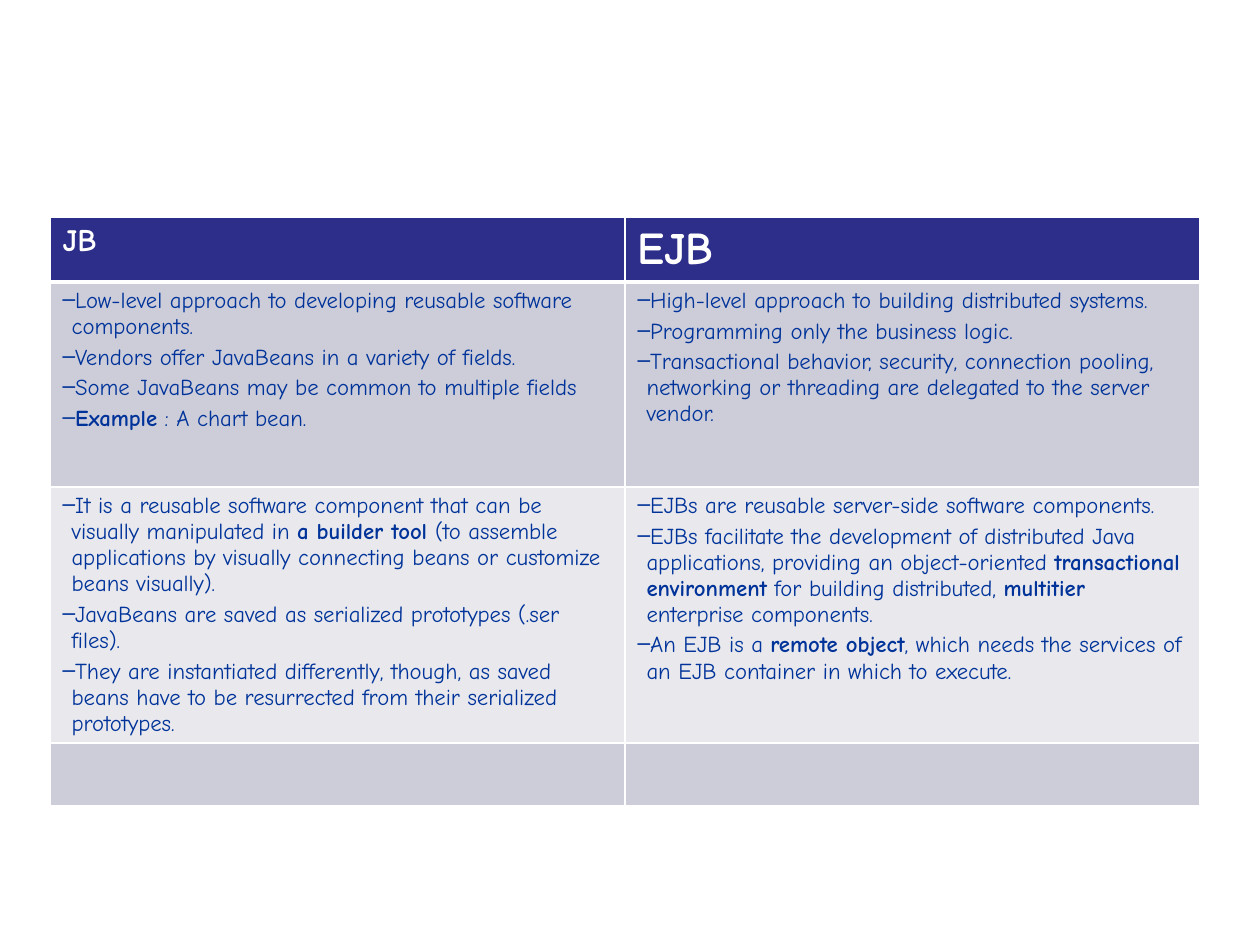
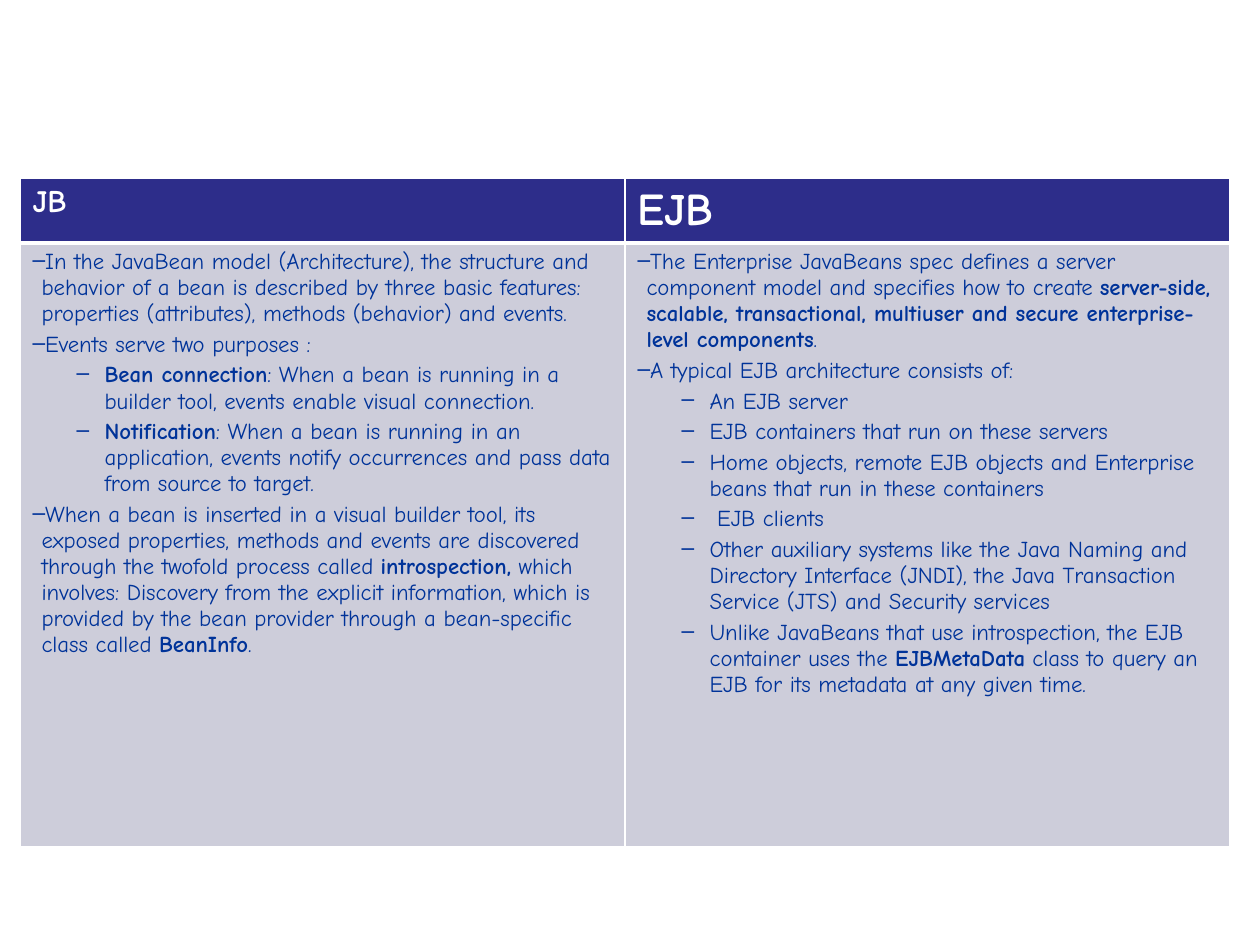
from dataclasses import dataclass

from lxml import etree
from pptx import Presentation
from pptx.dml.color import RGBColor
from pptx.enum.text import MSO_ANCHOR
from pptx.oxml.ns import qn
from pptx.util import Pt

PX = 7258  # EMU per px, at 126 px to the inch
TOP = MSO_ANCHOR.TOP


@dataclass(frozen=True)
class Theme:
    font: str = "Comic Neue"
    header_fill: str = "2D2D8A"
    header_text: str = "FFFFFF"
    body_text: str = "003399"
    bands: tuple = ("CDCDDA", "E8E8ED")
    rule: str = "FFFFFF"
    thin: int = 1
    thick: int = 3
    header_sizes: tuple = (18, 26)
    body_size: int = 13
    gap: float = 2.6


THEME = Theme()
HEADERS = ("JB", "EJB")
BULLET = "–"
HANG, INDENT, SUB_INDENT = 28, 9, 72
HEADER_H = 64

# Text between ** marks is bold; a nested list holds sub-bullets.
OVERVIEW_ROWS = [
    (
        [
            "Low-level approach to developing reusable software components.",
            "Vendors offer JavaBeans in a variety of fields.",
            "Some JavaBeans may be common to multiple fields",
            "**Example** : A chart bean.",
        ],
        [
            "High-level approach to building distributed systems.",
            "Programming only the business logic.",
            "Transactional behavior, security, connection pooling, networking or "
            "threading are delegated to the server vendor.",
        ],
    ),
    (
        [
            "It is a reusable software component that can be visually manipulated in "
            "**a builder tool **(to assemble applications by visually connecting "
            "beans or customize beans visually).",
            "JavaBeans are saved as serialized prototypes (.ser files).",
            "They are instantiated differently, though, as saved beans have to be "
            "resurrected from their serialized prototypes.",
        ],
        [
            "EJBs are reusable server-side software components.",
            "EJBs facilitate the development of distributed Java applications, "
            "providing an object-oriented **transactional environment** for building "
            "distributed, **multitier** enterprise components.",
            "An EJB is a **remote object**, which needs the services of an EJB "
            "container in which to execute.",
        ],
    ),
    ([], []),
]

ARCHITECTURE_ROWS = [
    (
        [
            "In the JavaBean model (Architecture), the structure and behavior of a "
            "bean is described by three basic features: properties (attributes), "
            "methods (behavior) and events.",
            "Events serve two purposes :",
            [
                "**Bean connection**: When a bean is running in a builder tool, "
                "events enable visual connection.",
                "**Notification**: When a bean is running in an application, events "
                "notify occurrences and pass data from source to target.",
            ],
            "When a bean is inserted in a visual builder tool, its exposed "
            "properties, methods and events are discovered through the twofold "
            "process called **introspection,** which involves: Discovery from the "
            "explicit information, which is provided by the bean provider through a "
            "bean-specific class called **BeanInfo**.",
        ],
        [
            "The Enterprise JavaBeans spec defines a server component model and "
            "specifies how to create **server-side, scalable, transactional, "
            "multiuser and secure enterprise-level components**.",
            "A typical EJB architecture consists of:",
            [
                "An EJB server",
                "EJB containers that run on these servers",
                "Home objects, remote EJB objects and Enterprise beans that run in "
                "these containers",
                " EJB clients",
                "Other auxiliary systems like the Java Naming and Directory Interface "
                "(JNDI), the Java Transaction Service (JTS) and Security services",
                "Unlike JavaBeans that use introspection, the EJB container uses the "
                "**EJBMetaData** class to query an EJB for its metadata at any given "
                "time.",
            ],
        ],
    ),
]


def format_run(r, size, color, bold):
    r.font.name = THEME.font
    r.font.size = Pt(size)
    r.font.bold = bold
    r.font.color.rgb = RGBColor.from_string(color)


def style_cell(cell, fill, top, bottom):
    """Rule the four sides, then fill; the schema wants the lines first."""
    tc_pr = cell._tc.get_or_add_tcPr()
    sides = {"lnL": THEME.thin, "lnR": THEME.thin, "lnT": top, "lnB": bottom}
    for tag, width in sides.items():
        ln = etree.SubElement(tc_pr, qn(f"a:{tag}"), w=str(Pt(width)))
        solid = etree.SubElement(ln, qn("a:solidFill"))
        etree.SubElement(solid, qn("a:srgbClr"), val=THEME.rule)
    cell.fill.solid()
    cell.fill.fore_color.rgb = RGBColor.from_string(fill)
    cell.vertical_anchor = TOP


def format_bullet(p, level):
    p.level = level
    p.space_before = Pt(THEME.gap)
    p_pr = p._p.get_or_add_pPr()
    p_pr.set("marL", str((SUB_INDENT if level else INDENT) * PX))
    p_pr.set("indent", str(-HANG * PX))
    etree.SubElement(p_pr, qn("a:buChar"), char=BULLET)


def flatten(items, level=0):
    """Yield (text, level) for nested bullets."""
    for item in items:
        if isinstance(item, list):
            yield from flatten(item, level + 1)
        else:
            yield item, level


def write_bullets(tf, items):
    for i, (text, level) in enumerate(flatten(items)):
        p = tf.add_paragraph() if i else tf.paragraphs[0]
        format_bullet(p, level)
        for j, part in enumerate(text.split("**")):
            if part:
                r = p.add_run()
                r.text = part
                format_run(r, THEME.body_size, THEME.body_text, j % 2 == 1)


def add_comparison_slide(prs, box, rows, row_heights):
    """Place a two-column JB / EJB table at box = (left, top, width)."""
    left, top, width = (v * PX for v in box)
    heights = [h * PX for h in (HEADER_H, *row_heights)]
    s = prs.slides.add_slide(prs.slide_layouts[6])
    table = s.shapes.add_table(
        len(heights), len(HEADERS), left, top, width, sum(heights)).table
    for row, height in zip(table.rows, heights):
        row.height = height

    for col, (header, size) in enumerate(zip(HEADERS, THEME.header_sizes)):
        table.columns[col].width = width // len(HEADERS)
        cell = table.cell(0, col)
        style_cell(cell, THEME.header_fill, THEME.thin, THEME.thick)
        cell.text_frame.text = header
        format_run(cell.text_frame.paragraphs[0].runs[0],
                   size, THEME.header_text, True)
        for i, row in enumerate(rows):
            cell = table.cell(i + 1, col)
            style_cell(cell, THEME.bands[i % 2],
                       THEME.thin if i else THEME.thick, THEME.thin)
            write_bullets(cell.text_frame, row[col])


def main():
    prs = Presentation()
    prs.slide_width, prs.slide_height = 1260 * PX, 945 * PX
    add_comparison_slide(prs, (50, 217, 1150), OVERVIEW_ROWS, (205, 256, 63))
    add_comparison_slide(prs, (20, 178, 1210), ARCHITECTURE_ROWS, (604,))
    prs.save("out.pptx")


if __name__ == "__main__":
    main()
